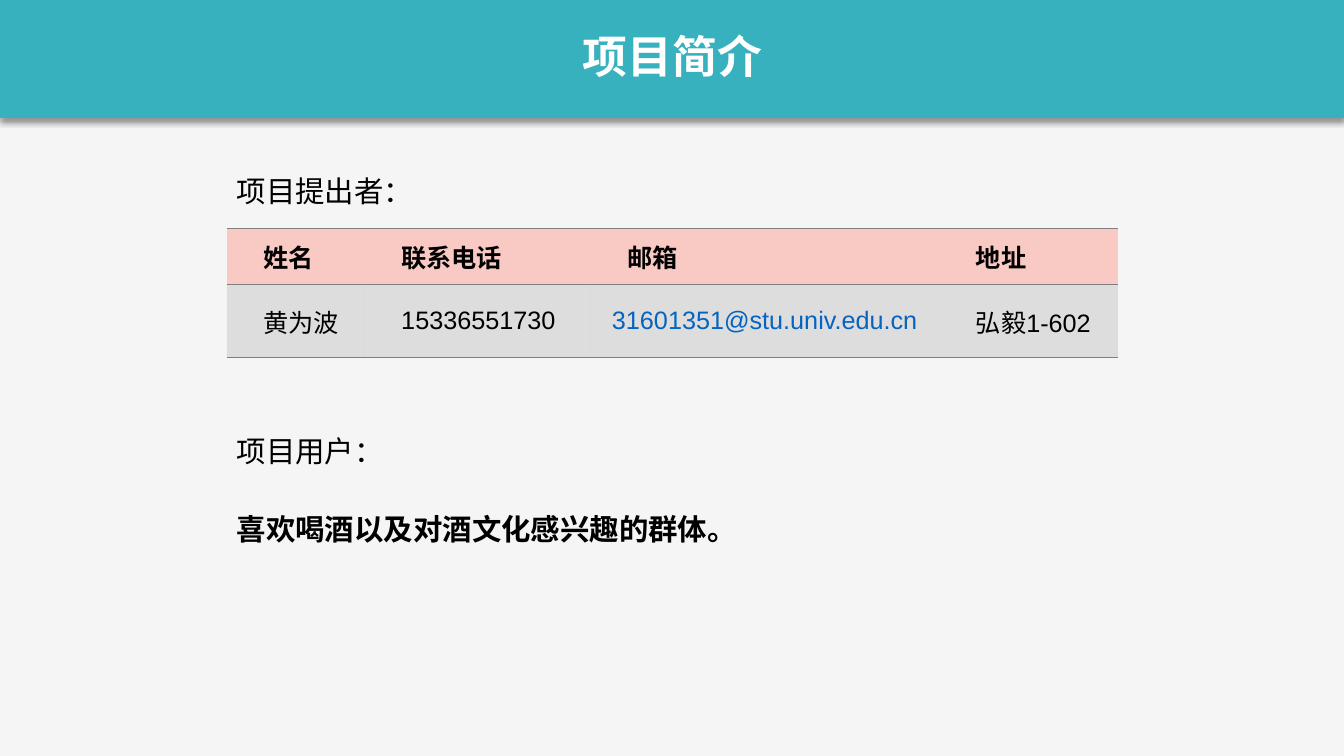
from lxml import etree
from pptx import Presentation
from pptx.dml.color import RGBColor
from pptx.enum.shapes import MSO_SHAPE as Shape
from pptx.enum.text import MSO_ANCHOR as Anchor, MSO_AUTO_SIZE as AutoSize, PP_ALIGN as Align
from pptx.oxml import parse_xml
from pptx.oxml.ns import nsdecls, qn
from pptx.util import Inches, Pt

TEAL = RGBColor(0x38, 0xB1, 0xBF)
PAPER = RGBColor(0xF5, 0xF5, 0xF5)
PINK = RGBColor(0xF9, 0xC9, 0xC3)
GRAY = RGBColor(0x7F, 0x7F, 0x7F)
BLUE = RGBColor(0x05, 0x63, 0xC1)
BLACK = RGBColor(0, 0, 0)
WHITE = RGBColor(0xFF, 0xFF, 0xFF)


def write_text(frame, text, *, font, size, color=BLACK, bold=False,
               align=Align.LEFT, indent=0, east_asian=None):
    para = frame.paragraphs[0]
    para.alignment = align
    if indent:
        properties = para._p.get_or_add_pPr()
        properties.set("marL", "0")
        properties.set("indent", str(Inches(indent)))
    span = para.add_run()
    span.text = text
    span.font.name = font
    span.font.size = Pt(size)
    span.font.bold = bold
    span.font.color.rgb = color
    if east_asian:
        latin = span.font._element.find(qn("a:latin"))
        latin.addnext(parse_xml(f'<a:ea {nsdecls("a")} typeface="{east_asian}"/>'))


class SlideBuilder:
    heading_font = "Noto Sans CJK SC"
    label_font = "Calibri"
    table_font = "Arial"

    def __init__(self, page):
        self.page = page
        page.background.fill.solid()
        page.background.fill.fore_color.rgb = PAPER

    def title(self, text, left, top, width, height):
        box = self.page.shapes.title
        box.left, box.top, box.width, box.height = map(Inches, (left, top, width, height))
        frame = box.text_frame
        # Without side margins the title fits on one line
        frame.margin_left = frame.margin_right = 0
        frame.word_wrap = False
        frame.auto_size = AutoSize.SHAPE_TO_FIT_TEXT
        frame.vertical_anchor = Anchor.TOP
        write_text(frame, text, font=self.heading_font, east_asian=self.heading_font,
                   size=32, color=WHITE, bold=True, align=Align.CENTER)

    def band(self, left, top, width, height):
        band = self.page.shapes.add_shape(
            Shape.RECTANGLE, *map(Inches, (left, top, width, height)))
        band.fill.solid()
        band.fill.fore_color.rgb = TEAL
        band.line.fill.background()
        band.shadow.inherit = False
        effects = band._element.spPr.find(qn("a:effectLst"))
        effects.append(parse_xml(
            f'<a:outerShdw {nsdecls("a")} blurRad="{Pt(4)}" dist="{Pt(3)}" dir="5400000" '
            'algn="t" rotWithShape="0"><a:srgbClr val="000000">'
            '<a:alpha val="40000"/></a:srgbClr></a:outerShdw>'))
        # Keep the band behind the title
        self.page.shapes.title.element.addprevious(band.element)

    def label(self, text, left, top, width, height, bold=False):
        box = self.page.shapes.add_textbox(*map(Inches, (left, top, width, height)))
        box.text_frame.word_wrap = True
        box.text_frame.auto_size = AutoSize.SHAPE_TO_FIT_TEXT
        write_text(box.text_frame, text, font=self.label_font, size=21, bold=bold)

    def table(self, rows, left, top, widths, heights):
        frame = self.page.shapes.add_table(
            len(rows), len(widths), Inches(left), Inches(top),
            Inches(sum(widths)), Inches(sum(heights)))
        table = frame.table
        table.first_row = table.horz_banding = False
        for column, width in zip(table.columns, widths):
            column.width = Inches(width)
        for row, height in zip(table.rows, heights):
            row.height = Inches(height)
        for row_index, texts in enumerate(rows):
            for column_index, text in enumerate(texts):
                self.cell(table.cell(row_index, column_index), text, row_index == 0)

    def cell(self, cell, text, header):
        is_email = "@" in text
        cell.margin_left = cell.margin_right = Inches(0.07)
        cell.margin_top = cell.margin_bottom = 0
        cell.vertical_anchor = Anchor.MIDDLE
        write_text(cell.text_frame, text, font=self.table_font, size=18, bold=header,
                   color=BLUE if is_email else BLACK, indent=0.14 if is_email else 0.29)
        cell.fill.solid()
        cell.fill.fore_color.rgb = PINK if header else GRAY
        properties = cell._tc.tcPr
        if not header:
            color = properties.find(".//" + qn("a:srgbClr"))
            etree.SubElement(color, qn("a:alpha")).set("val", "20000")
        # Horizontal rules only; borders come before the fill
        for index, side in enumerate("LRTB"):
            paint = (f'<a:solidFill><a:srgbClr val="{GRAY}"/></a:solidFill>'
                     if side in "TB" else "<a:noFill/>")
            properties.insert(index, parse_xml(
                f'<a:ln{side} {nsdecls("a")} w="{Pt(1)}">{paint}</a:ln{side}>'))


def main():
    deck = Presentation()
    deck.slide_width, deck.slide_height = Inches(13.33), Inches(7.5)
    slide = SlideBuilder(deck.slides.add_slide(deck.slide_layouts[5]))

    # Header
    slide.band(0, -0.06, 13.33, 1.23)
    slide.title("项目简介", 5.68, 0.23, 1.98, 0.64)

    # Proposer
    slide.table(
        [["姓名", "联系电话", "邮箱", "地址"],
         ["黄为波", "15336551730", "31601351@stu.univ.edu.cn", "弘毅1-602"]],
        2.25, 2.27, widths=[1.37, 2.24, 3.46, 1.77], heights=[0.55, 0.73])
    slide.label("项目提出者：", 2.25, 1.67, 3.95, 0.45)

    # Users
    slide.label("项目用户：", 2.25, 4.25, 1.64, 0.45)
    slide.label("喜欢喝酒以及对酒文化感兴趣的群体。", 2.25, 5.02, 7.35, 0.45, bold=True)

    deck.save("out.pptx")


if __name__ == "__main__":
    main()
